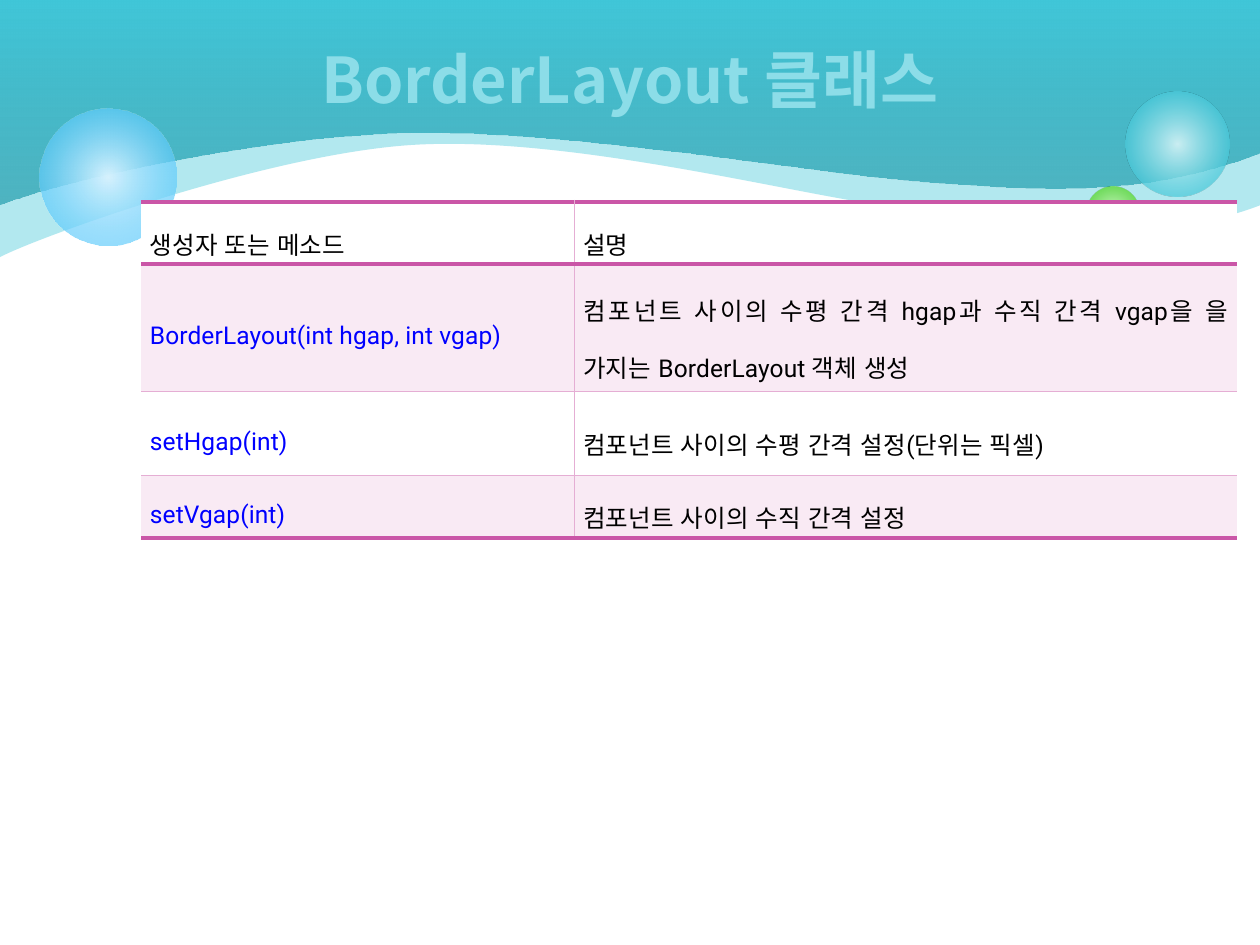
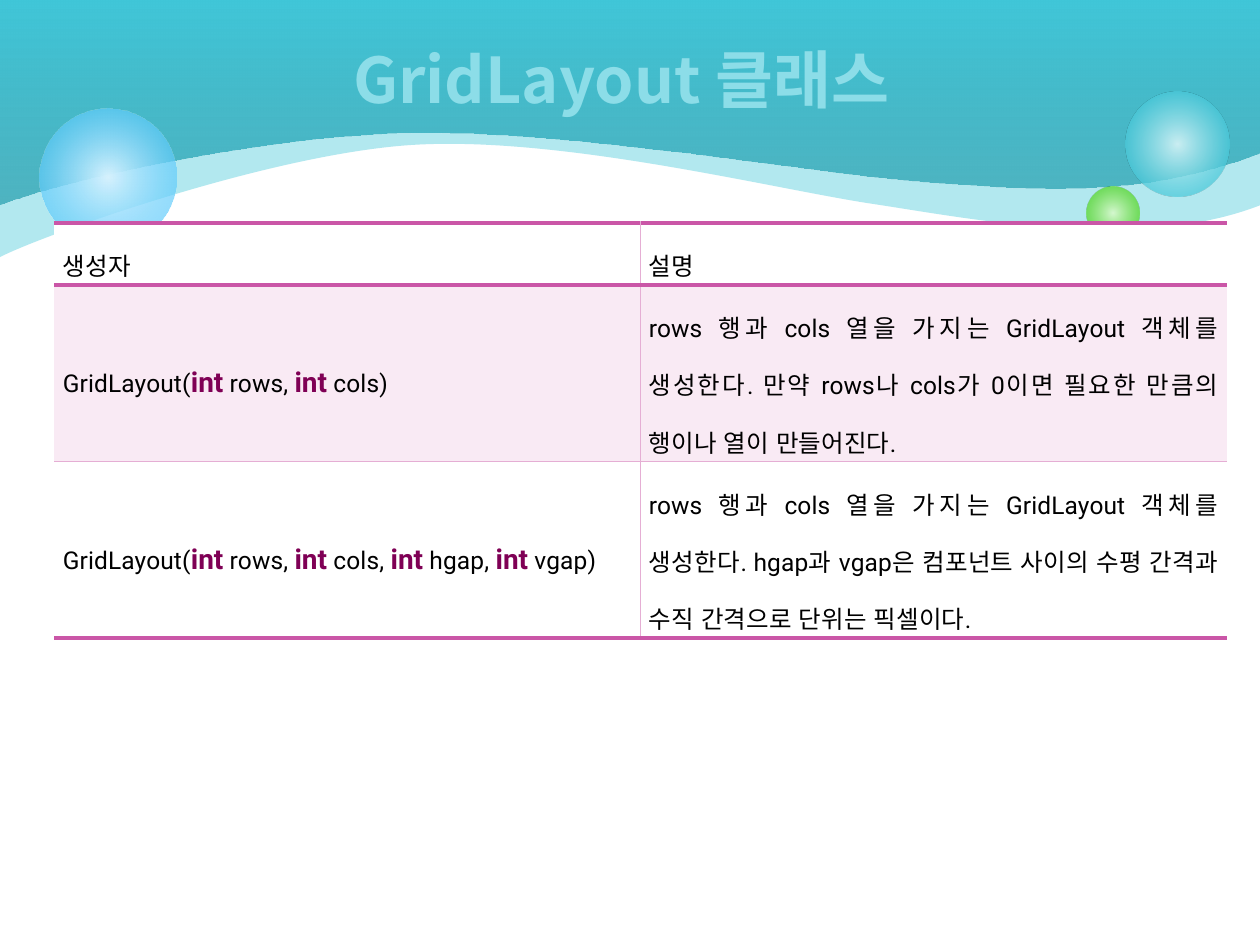
from collections import namedtuple

from pptx import Presentation
from pptx.dml.color import RGBColor
from pptx.enum.shapes import MSO_SHAPE
from pptx.enum.text import MSO_ANCHOR, PP_ALIGN
from pptx.oxml import parse_xml
from pptx.oxml.ns import nsdecls, qn
from pptx.util import Inches, Pt

# Colours
WHITE = RGBColor(0xFF, 0xFF, 0xFF)
BLACK = RGBColor(0x00, 0x00, 0x00)
AQUA = RGBColor(0x40, 0xC6, 0xD8)
TEAL = RGBColor(0x24, 0x9E, 0xAE)
PALE_AQUA = RGBColor(0xD9, 0xF4, 0xF7)
SOFT_AQUA = RGBColor(0x8C, 0xDD, 0xE8)
GREEN = RGBColor(0x4C, 0xD4, 0x16)
PALE_GREEN = RGBColor(0xDA, 0xFA, 0xCD)
SKY = RGBColor(0x33, 0xBD, 0xFB)
PALE_SKY = RGBColor(0xD6, 0xF2, 0xFE)
MAGENTA = RGBColor(0xCA, 0x56, 0xA7)
PINK = RGBColor(0xE5, 0xAE, 0xD4)
PALE_PINK = RGBColor(0xF9, 0xEA, 0xF4)
BLUE = RGBColor(0x00, 0x00, 0xFF)
PURPLE = RGBColor(0x7F, 0x00, 0x55)

# Type styles
LATIN_FONT = "Roboto"
KOREAN_FONT = "Noto Sans CJK KR"
TextStyle = namedtuple("TextStyle", "size color bold")
BODY = TextStyle(14, BLACK, False)
METHOD = TextStyle(14, BLUE, False)
KEYWORD = TextStyle(16, PURPLE, True)

# Table rules: colour and width in points
THICK = (MAGENTA, 2.55)
THIN = (PINK, 0.28)

# Header waves: control points of the cubic curves, from the left edge down
BACK_WAVE = [(0, 0.54), (0, 1.5), (0, 2.04),
             (0.33, 1.87), (2.14, 1.22), (3.28, 1.15),
             (4.43, 1.08), (6.06, 1.48), (6.87, 1.61),
             (7.68, 1.73), (9.02, 2.01), (10, 1.63)]
FRONT_WAVE = [(0, 0.54), (0, 1.08), (0, 1.62),
              (0.45, 1.44), (2.03, 1.08), (3.26, 1.05),
              (4.49, 1.02), (6.58, 1.39), (7.37, 1.44),
              (8.16, 1.49), (9.02, 1.59), (10, 1.21)]
WAVE_CORNER = (10.01, 0)


def color_xml(color, alpha=100):
    return (f'<a:srgbClr val="{color}"><a:alpha val="{alpha * 1000}"/>'
            f'</a:srgbClr>')


def solid_xml(color, alpha=100):
    return f'<a:solidFill {nsdecls("a")}>{color_xml(color, alpha)}</a:solidFill>'


def gradient_xml(stops, angle=None):
    """Linear gradient at an angle, or a circular one without it."""
    marks = "".join(f'<a:gs pos="{pos * 1000}">{color_xml(color, alpha)}</a:gs>'
                    for pos, color, alpha in stops)
    if angle is None:
        course = ('<a:path path="circle"><a:fillToRect l="50000" t="50000" '
                  'r="50000" b="50000"/></a:path>')
    else:
        course = f'<a:lin ang="{angle * 60000}" scaled="0"/>'
    return (f'<a:gradFill {nsdecls("a")} rotWithShape="1">'
            f'<a:gsLst>{marks}</a:gsLst>{course}</a:gradFill>')


def replace_fill(properties, fill):
    properties.replace(properties.find(qn("a:solidFill")), parse_xml(fill))


def bend_lines(shape, count):
    """Turn the first count lines of a freeform, three by three, into curves."""
    lines = list(shape.element.iter(qn("a:lnTo")))[:count]
    for first in range(0, count, 3):
        curve = parse_xml(f'<a:cubicBezTo {nsdecls("a")}/>')
        lines[first].addprevious(curve)
        for line in lines[first:first + 3]:
            curve.append(line.find(qn("a:pt")))
            line.getparent().remove(line)


def signature(*parameters):
    """Runs of a GridLayout constructor with its int keywords marked."""
    runs = [("GridLayout(", BODY)]
    for name in parameters:
        ending = ")" if name == parameters[-1] else ", "
        runs += [("int", KEYWORD), (f" {name}{ending}", BODY)]
    return runs


class Deck:
    def __init__(self):
        self.prs = Presentation()
        self.prs.slide_width, self.prs.slide_height = Inches(10), Inches(7.5)
        self.slide = None

    def new_slide(self, title):
        self.slide = self.prs.slides.add_slide(self.prs.slide_layouts[5])
        if len(self.prs.slides) == 1:
            self.master_header()
        self.title(title)

    def master_header(self):
        """Draw the waves and bubbles, then hand them to the slide master."""
        header = [
            self.wave(BACK_WAVE, solid_xml(AQUA, 40)),
            self.wave(FRONT_WAVE, gradient_xml(
                [(0, TEAL, 69), (100, AQUA, 100)], 270)),
            self.bubble(8.93, 0.73, 0.83, [(0, PALE_AQUA, 90), (76, AQUA, 70)]),
            self.bubble(8.62, 1.48, 0.42, [(0, PALE_GREEN, 90), (76, GREEN, 70)]),
            self.bubble(0.31, 0.86, 1.09, [(0, PALE_SKY, 100), (100, SKY, 54)]),
        ]
        tree = self.prs.slide_master.element.cSld.spTree
        for index, part in enumerate(header):
            part.element.nvSpPr.cNvPr.set("id", str(100 + index))
            tree.insert(2 + index, part.element)

    def finish(self, shape, fill):
        shape.shadow.inherit = False
        shape.line.fill.background()
        shape.fill.solid()
        replace_fill(shape.element.spPr, fill)
        return shape

    def wave(self, controls, fill):
        builder = self.slide.shapes.build_freeform(0, 0)
        builder.add_line_segments(
            [(Inches(x), Inches(y)) for x, y in controls + [WAVE_CORNER]])
        shape = builder.convert_to_shape()
        bend_lines(shape, len(controls))
        return self.finish(shape, fill)

    def bubble(self, left, top, size, stops):
        circle = self.slide.shapes.add_shape(
            MSO_SHAPE.OVAL, Inches(left), Inches(top), Inches(size), Inches(size))
        return self.finish(circle, gradient_xml(stops))

    def add_run(self, paragraph, text, style, latin):
        run = paragraph.add_run()
        run.text = text
        run.font.size, run.font.bold = Pt(style.size), style.bold
        run.font.color.rgb = style.color
        run.font.name = latin
        properties = run.font._element
        properties.set("lang", "ko-KR")
        properties.find(qn("a:latin")).addnext(parse_xml(
            f'<a:ea {nsdecls("a")} typeface="{KOREAN_FONT}"/>'))
        return properties

    def title(self, text):
        heading = self.slide.shapes.title
        heading.left, heading.top = Inches(0.5), Inches(0)
        heading.width, heading.height = Inches(9), Inches(1.25)
        heading.text_frame.vertical_anchor = MSO_ANCHOR.MIDDLE
        paragraph = heading.text_frame.paragraphs[0]
        paragraph.alignment = PP_ALIGN.CENTER
        properties = self.add_run(
            paragraph, text, TextStyle(36, SOFT_AQUA, True), KOREAN_FONT)
        replace_fill(properties, gradient_xml(
            [(0, PALE_AQUA, 100), (48, SOFT_AQUA, 100),
             (57, PALE_AQUA, 100), (100, PALE_AQUA, 100)], 90))
        properties.insert(0, parse_xml(
            f'<a:ln {nsdecls("a")} w="{Pt(0.5)}">{solid_xml(PALE_AQUA)}</a:ln>'))

    def table(self, left, top, widths, heights, rows):
        grid = self.slide.shapes.add_table(
            len(rows), len(widths), Inches(left), Inches(top),
            Inches(sum(widths)), Inches(sum(heights))).table
        grid.first_row = grid.horz_banding = False
        for column, width in zip(grid.columns, widths):
            column.width = Inches(width)
        for row, height in zip(grid.rows, heights):
            row.height = Inches(height)
        last_row, last_column = len(rows) - 1, len(widths) - 1
        for r, row in enumerate(rows):
            for c, runs in enumerate(row):
                cell = grid.cell(r, c)
                self.borders(cell, {
                    "L": THIN if c > 0 else None,
                    "R": THIN if c < last_column else None,
                    "T": THICK if r < 2 else THIN,
                    "B": THICK if r in (0, last_row) else THIN})
                self.fill_cell(cell, runs, PALE_PINK if r % 2 else WHITE)

    def borders(self, cell, rules):
        properties = cell._tc.get_or_add_tcPr()
        for side, rule in rules.items():
            if rule:
                color, width = rule
                size, paint = f'w="{Pt(width)}"', solid_xml(color)
            else:
                size, paint = "", "<a:noFill/>"
            properties.append(parse_xml(
                f'<a:ln{side} {nsdecls("a")} {size}>{paint}</a:ln{side}>'))

    def fill_cell(self, cell, runs, background):
        cell.fill.solid()
        cell.fill.fore_color.rgb = background
        cell.vertical_anchor = MSO_ANCHOR.MIDDLE
        cell.margin_left = cell.margin_right = Inches(0.07)
        cell.margin_top = cell.margin_bottom = Inches(0.02)
        paragraph = cell.text_frame.paragraphs[0]
        paragraph.alignment = PP_ALIGN.JUSTIFY
        paragraph.line_spacing = 1.6
        for text, style in runs:
            self.add_run(paragraph, text, style, LATIN_FONT).set("spc", "5")


def main():
    deck = Deck()

    # BorderLayout
    border_members = [
        ("BorderLayout(int hgap, int vgap)",
         "컴포넌트 사이의 수평 간격 hgap과 수직 간격 vgap을 을 가지는 BorderLayout 객체 생성"),
        ("setHgap(int)", "컴포넌트 사이의 수평 간격 설정(단위는 픽셀)"),
        ("setVgap(int)", "컴포넌트 사이의 수직 간격 설정"),
    ]
    deck.new_slide("BorderLayout 클래스")
    deck.table(1.12, 1.6, [3.44, 5.26], [0.47, 1.01, 0.67, 0.41], [
        ([("생성자 또는 메소드", BODY)], [("설명", BODY)]),
        *(([(member, METHOD)], [(meaning, BODY)])
          for member, meaning in border_members)])

    # GridLayout
    grid_creation = "rows 행과 cols 열을 가지는 GridLayout 객체를 생성한다. "
    deck.new_slide("GridLayout 클래스 ")
    deck.table(0.43, 1.77, [4.65, 4.66], [0.41, 1.16, 1.16], [
        ([("생성자", BODY)], [("설명", BODY)]),
        (signature("rows", "cols"),
         [(grid_creation + "만약 rows나 cols가 0이면 필요한 만큼의 행이나 열이 만들어진다. ", BODY)]),
        (signature("rows", "cols", "hgap", "vgap"),
         [(grid_creation + "hgap과 vgap은 컴포넌트 사이의 수평 간격과 수직 간격으로 "
           "단위는 픽셀이다. ", BODY)])])

    deck.prs.save("out.pptx")


if __name__ == "__main__":
    main()
